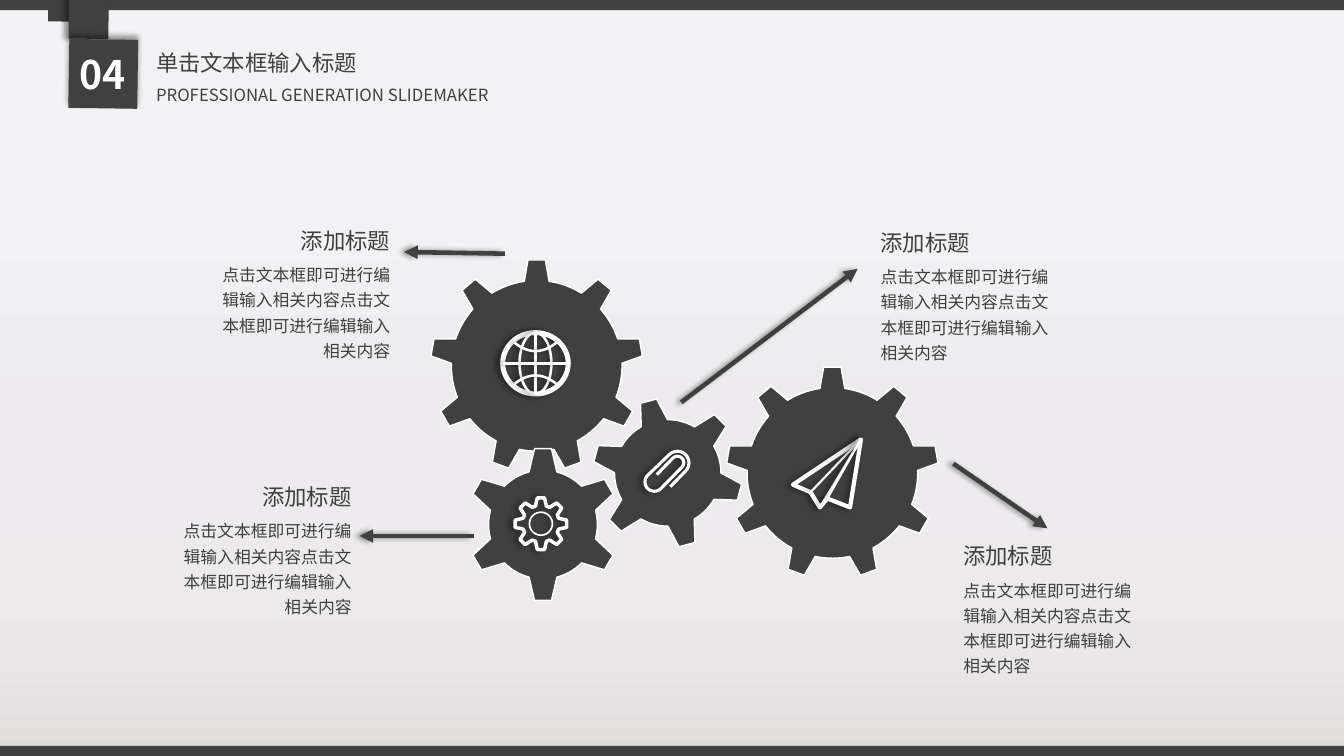
"""Build a slide of four interlocking gears with captions, on a 160 by 90 grid."""
import math
from typing import NamedTuple, Optional

import lxml.etree
import pptx
import pptx.dml.color
import pptx.enum.shapes
import pptx.enum.text
import pptx.oxml.ns
import pptx.util

RGBColor = pptx.dml.color.RGBColor
SHAPE = pptx.enum.shapes.MSO_SHAPE
ALIGN = pptx.enum.text.PP_ALIGN
qn = pptx.oxml.ns.qn

COLUMNS, ROWS = 160, 90
CELL = pptx.util.Inches(1 / 12)
DARK = RGBColor(0x40, 0x40, 0x40)
WHITE = RGBColor(0xFF, 0xFF, 0xFF)
BLACK = RGBColor(0, 0, 0)
BACKDROP = {
    0: RGBColor(0xE0, 0xDC, 0xDB), 13: RGBColor(0xE9, 0xE7, 0xE8),
    23: RGBColor(0xEC, 0xEA, 0xEB), 34: RGBColor(0xED, 0xEB, 0xEE),
    51: RGBColor(0xED, 0xED, 0xEF), 73: RGBColor(0xF2, 0xF2, 0xF4),
}
FONT = "Noto Sans CJK SC"
HEADLINE = "添加标题"
BODY = "点击文本框即可进行编辑输入相关内容" * 2
LEFTWARD, UPWARD = 180, 270


class Point(NamedTuple):
    x: float
    y: float


class Area(NamedTuple):
    left: float
    top: float
    width: float
    height: float


class Ribbon(NamedTuple):
    corner: Point
    size: float
    turn: float
    shadow: Optional[int]


class Gear(NamedTuple):
    kind: SHAPE
    corner: Point
    size: float
    turn: float = 0


class Arrow(NamedTuple):
    start: Point
    end: Point


class Caption(NamedTuple):
    corner: Point
    align: ALIGN


RIBBONS = [
    Ribbon(Point(5.2, -0.6), 3.7, 45.8, None),
    Ribbon(Point(7.2, -1.1), 6.7, 135.8, LEFTWARD),
    Ribbon(Point(6.5, 3), 11.6, 315.8, UPWARD),
]
GEARS = [
    Gear(SHAPE.GEAR_9, Point(51.2, 30.85), 25.4),
    Gear(SHAPE.GEAR_6, Point(55.4, 53.2), 18.5),
    Gear(SHAPE.GEAR_9, Point(86.4, 43.6), 25.4),
    Gear(SHAPE.GEAR_6, Point(70.45, 47.25), 18.1, 345),
]
ARROWS = [
    Arrow(Point(60.1, 30.2), Point(48.1, 30)),
    Arrow(Point(56.4, 63.8), Point(42.8, 63.8)),
    Arrow(Point(81.1, 47.9), Point(102.1, 32)),
    Arrow(Point(113.5, 55.2), Point(124.7, 62.9)),
]
CAPTIONS = [
    Caption(Point(103.65, 26.65), ALIGN.LEFT),
    Caption(Point(113.5, 63.95), ALIGN.LEFT),
    Caption(Point(18.85, 56.9), ALIGN.RIGHT),
    Caption(Point(23.45, 26.4), ALIGN.RIGHT),
]


def cells(*counts: float) -> list[int]:
    return [round(count * CELL) for count in counts]


def set_shadow(shape, direction: Optional[int] = None) -> None:
    effects = lxml.etree.SubElement(shape.element.spPr, qn("a:effectLst"))
    if direction is not None:
        shadow = lxml.etree.SubElement(
            effects, qn("a:outerShdw"), blurRad=str(pptx.util.Pt(4)),
            dist=str(pptx.util.Pt(3)), dir=str(direction * 60000))
        color = lxml.etree.SubElement(shadow, qn("a:srgbClr"), val=str(BLACK))
        lxml.etree.SubElement(color, qn("a:alpha"), val="40000")


def paint(shape, fill: Optional[RGBColor] = None, line: Optional[RGBColor] = None,
          width: float = 1, shadow: Optional[int] = None) -> None:
    if fill is None:
        shape.fill.background()
    else:
        shape.fill.solid()
        shape.fill.fore_color.rgb = fill
    if line is None:
        shape.line.fill.background()
    else:
        shape.line.color.rgb = line
        shape.line.width = pptx.util.Pt(width)
    set_shadow(shape, shadow)


def add_preset(page, kind: SHAPE, area: Area, turn: float = 0, **look) -> None:
    shape = page.shapes.add_shape(kind, *cells(*area))
    shape.rotation = turn
    paint(shape, **look)


def add_stroke(page, points: list[Point], width: float, close: bool = False) -> None:
    start, *others = [cells(*point) for point in points]
    builder = page.shapes.build_freeform(*start)
    builder.add_line_segments(others, close=close)
    paint(builder.convert_to_shape(), line=WHITE, width=width, shadow=LEFTWARD)


def add_text(page, text: str, area: Area, *, size: float, color: RGBColor = DARK,
             bold: bool = False, align: ALIGN = ALIGN.LEFT, spacing: float = 1,
             wrap: bool = True) -> None:
    box = page.shapes.add_textbox(*cells(*area))
    box.text_frame.word_wrap = wrap
    box.text_frame.auto_size = pptx.enum.text.MSO_AUTO_SIZE.SHAPE_TO_FIT_TEXT
    para = box.text_frame.paragraphs[0]
    para.alignment, para.line_spacing = align, spacing
    span = para.add_run()
    span.text = text
    span.font.size, span.font.bold, span.font.name = pptx.util.Pt(size), bold, FONT
    span.font.color.rgb = color
    lxml.etree.SubElement(span.font._element, qn("a:ea"), typeface=FONT)


def add_arrow(page, arrow: Arrow) -> None:
    line = page.shapes.add_connector(
        pptx.enum.shapes.MSO_CONNECTOR.STRAIGHT, *cells(*arrow.start, *arrow.end))
    line.line.color.rgb = DARK
    line.line.width = pptx.util.Pt(3.25)
    lxml.etree.SubElement(line.element.spPr.find(qn("a:ln")), qn("a:tailEnd"), type="triangle")
    set_shadow(line, LEFTWARD)


def half_turn(start: Point, end: Point, steps: int = 12) -> list[Point]:
    middle = Point((start.x + end.x) / 2, (start.y + end.y) / 2)
    reach = Point(start.x - middle.x, start.y - middle.y)
    angles = [math.pi * step / steps for step in range(steps + 1)]
    return [Point(middle.x + reach.x * math.cos(a) + reach.y * math.sin(a),
                  middle.y - reach.x * math.sin(a) + reach.y * math.cos(a)) for a in angles]


def add_globe(page) -> None:
    center, top, height = Point(63.75, 43.25), 39.6, 7.3
    for width, weight in ((7.8, 3.6), (3.8, 1.8)):
        add_preset(page, SHAPE.OVAL, Area(center.x - width / 2, top, width, height),
                   line=WHITE, width=weight, shadow=LEFTWARD)
    add_stroke(page, [Point(center.x, top), Point(center.x, top + height)], 1.8)
    add_stroke(page, [Point(center.x - 3.9, center.y), Point(center.x + 3.9, center.y)], 1.8)
    for side in (-1, 1):
        add_stroke(page, [Point(center.x + 2.5 * step / 6,
                                center.y + side * (1.45 + (step / 6) ** 2))
                          for step in range(-6, 7)], 1.8)


def add_cog(page) -> None:
    center, radius = Point(64.4, 62.35), 1.37
    profile = ((-17, 2.2), (-8, 3.1), (8, 3.1), (17, 2.2))
    rim = [Point(center.x + reach * math.cos(math.radians(45 * tooth + angle)),
                 center.y + reach * math.sin(math.radians(45 * tooth + angle)))
           for tooth in range(8) for angle, reach in profile]
    add_stroke(page, rim, 2.5, close=True)
    add_preset(page, SHAPE.OVAL, Area(center.x - radius, center.y - radius, 2 * radius, 2 * radius),
               line=WHITE, width=1.2, shadow=LEFTWARD)


def add_plane(page) -> None:
    tip = Point(102.5, 52.3)
    folds = [Point(96.5, 58.6), Point(97.6, 60.4), Point(98.5, 59.35)]
    add_stroke(page, [tip, Point(94.4, 57.7), *folds, Point(101.2, 60.4)], 3, close=True)
    for fold in folds:
        add_stroke(page, [fold, tip], 1.5)


def add_clip(page) -> None:
    add_stroke(page, [Point(79.8, 57.95),
                      *half_turn(Point(81.6, 56.1), Point(79.7, 54.1)),
                      *half_turn(Point(77.1, 56.6), Point(78.7, 58.15)),
                      *half_turn(Point(81.2, 55.6), Point(80.1, 54.55)),
                      Point(78.2, 56.5)], 2.2)


def set_backdrop(page) -> None:
    fill = page.background.fill
    fill.gradient()
    fill.gradient_angle = 90
    stops = page.element.find(f".//{qn('a:gsLst')}")
    stops.clear()
    for share, color in BACKDROP.items():
        stop = lxml.etree.SubElement(stops, qn("a:gs"), pos=str(share * 1000))
        lxml.etree.SubElement(stop, qn("a:srgbClr"), val=str(color))


def main() -> None:
    deck = pptx.Presentation()
    deck.slide_width, deck.slide_height = cells(COLUMNS, ROWS)
    page = deck.slides.add_slide(deck.slide_layouts[6])
    set_backdrop(page)
    for top in (0, ROWS - 1.2):
        add_preset(page, SHAPE.RECTANGLE, Area(0, top, COLUMNS, 1.2), fill=DARK)
    for ribbon in RIBBONS:
        add_preset(page, SHAPE.DIAMOND, Area(*ribbon.corner, ribbon.size, ribbon.size),
                   ribbon.turn, fill=DARK, shadow=ribbon.shadow)
    add_text(page, "04", Area(7.9, 5.4, 8.6, 6.8), size=28, color=WHITE, bold=True,
             align=ALIGN.CENTER)
    add_text(page, "单击文本框输入标题", Area(17.4, 3.7, 26.6, 5.5), size=16, spacing=1.5, wrap=False)
    add_text(page, "PROFESSIONAL GENERATION SLIDEMAKER", Area(17.4, 9.45, 55.7, 3.6), size=12)
    for gear in GEARS:
        add_preset(page, gear.kind, Area(*gear.corner, gear.size, gear.size), gear.turn,
                   fill=DARK, line=WHITE)
    for add_icon in (add_globe, add_cog, add_plane, add_clip):
        add_icon(page)
    for arrow in ARROWS:
        add_arrow(page, arrow)
    for (left, top), align in CAPTIONS:
        add_text(page, BODY, Area(left, top + 3.95, 24.2, 13.2), size=12, align=align, spacing=1.25)
        add_text(page, HEADLINE, Area(left, top, 24.2, 4.4), size=16, align=align)
    deck.save("out.pptx")


if __name__ == "__main__":
    main()
